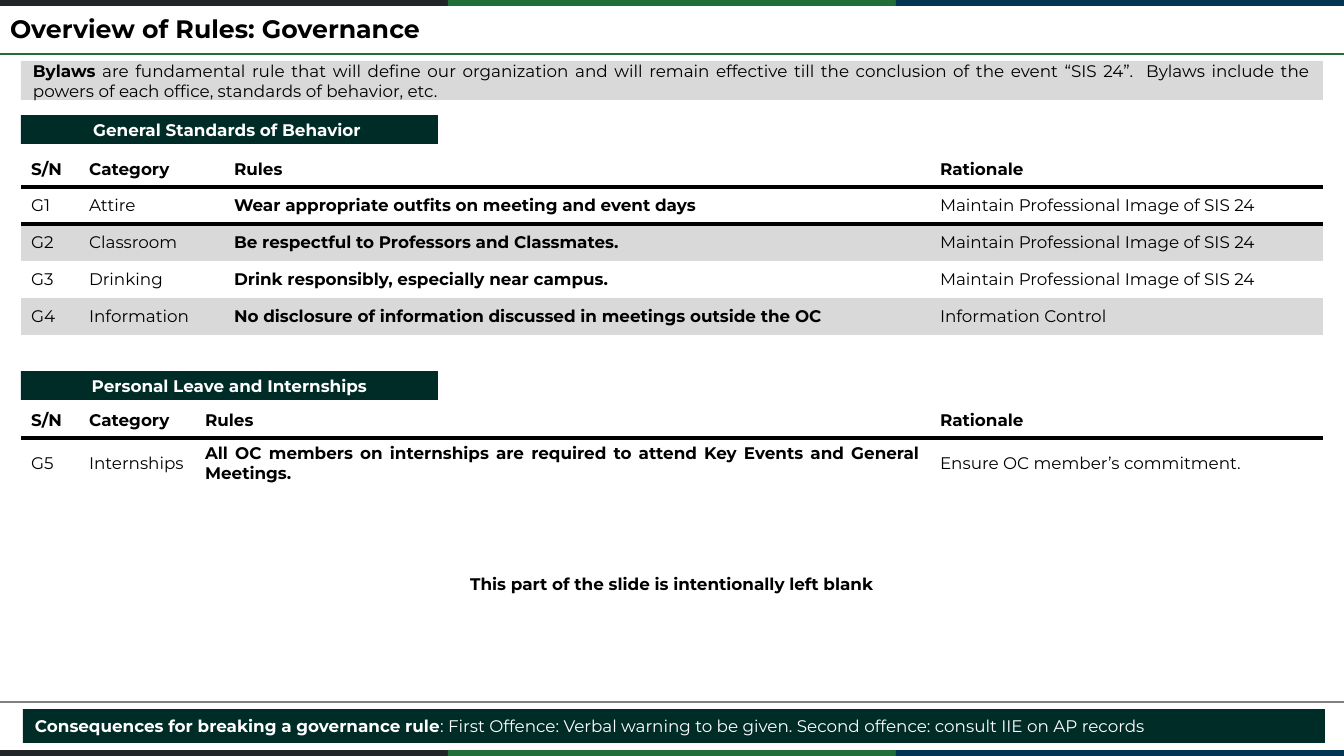
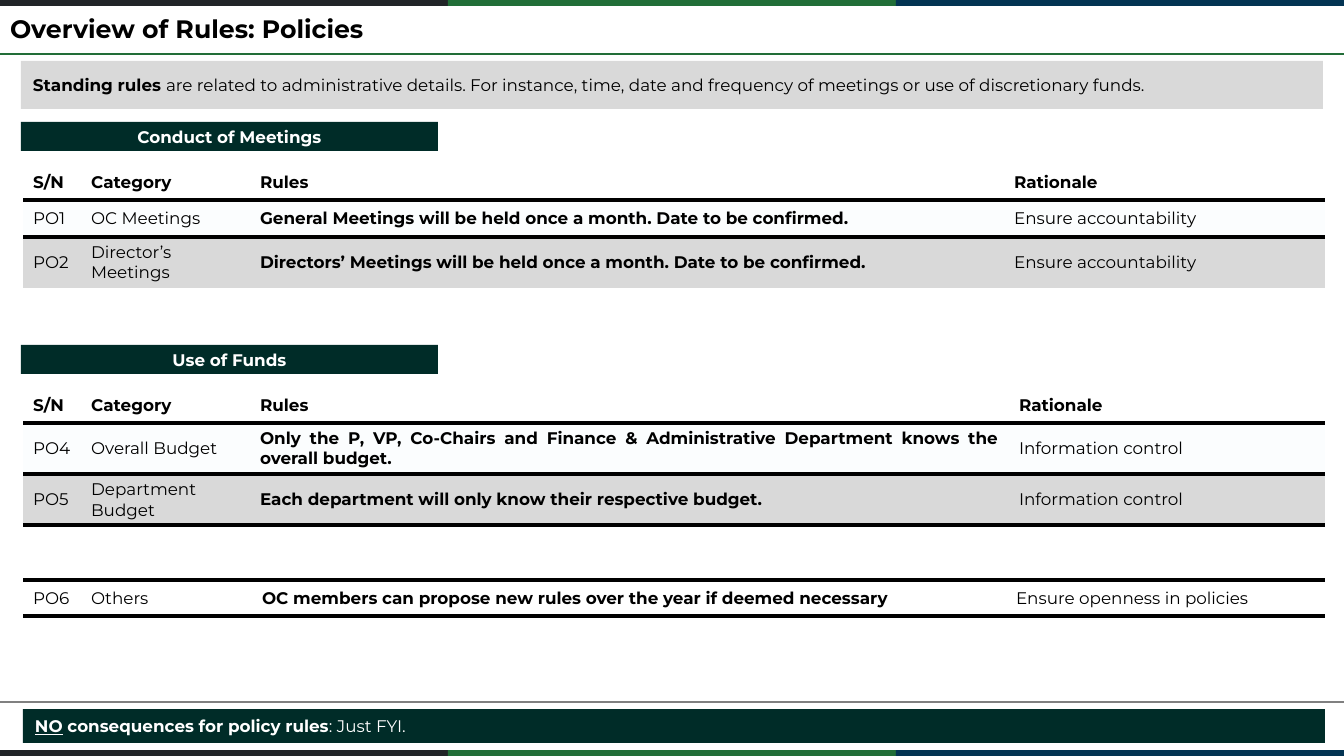
"""Build the two slides on governance and policy rules."""
from dataclasses import dataclass

from lxml import etree
from pptx import Presentation
from pptx.dml.color import RGBColor
from pptx.enum.shapes import MSO_CONNECTOR, MSO_SHAPE
from pptx.enum.text import MSO_ANCHOR, MSO_AUTO_SIZE, PP_ALIGN
from pptx.oxml.ns import qn
from pptx.util import Emu, Pt

RECTANGLE = MSO_SHAPE.RECTANGLE
STRAIGHT = MSO_CONNECTOR.STRAIGHT
MIDDLE = MSO_ANCHOR.MIDDLE
NO_AUTOFIT = MSO_AUTO_SIZE.NONE
LEFT, CENTER, JUSTIFY = PP_ALIGN.LEFT, PP_ALIGN.CENTER, PP_ALIGN.JUSTIFY

WIDTH, HEIGHT = 1344, 756
EMU_PER_PX = 12192000 / WIDTH
CONTENT_LEFT, CONTENT_WIDTH = 21, 1302
INDENTED_LEFT = 23
BAND_HEIGHT = 6
HEADING_WIDTH, HEADING_HEIGHT = 417, 29
TEXT_INSET = 12
HEADER_ROW = 36
TITLE_ONLY_LAYOUT = 5
FIRST_FRAME_ID = 100
RULE_COLUMN = 2
PLAIN_TABLE_STYLE = "{2D5ABB26-0587-4C30-8999-92F81FD0307C}"
HEADER = ("S/N", "Category", "Rules", "Rationale")


@dataclass(frozen=True)
class Theme:
    font: str = "Montserrat"
    title_size: int = 18
    text_size: int = 12
    rule_width: float = 1.5
    border_width: int = 3
    text: str = "000000"
    white: str = "FFFFFF"
    pale: str = "FBFDFE"
    grey: str = "D9D9D9"
    dark_green: str = "002C28"
    title_rule: str = "226D38"
    footer_rule: str = "808080"
    bands: tuple[str, ...] = ("212528", "216E38", "033453")


THEME = Theme()


@dataclass(frozen=True)
class Box:
    left: int
    top: int
    width: int
    height: int


@dataclass(frozen=True)
class Span:
    text: str
    bold: bool = False
    underline: bool = False


@dataclass(frozen=True)
class Heading:
    top: int
    text: str


@dataclass(frozen=True)
class RuleTable:
    left: int
    top: int
    columns: tuple[int, ...]
    heights: tuple[int, ...]
    rows: tuple[tuple[str, ...], ...]
    odd_fill: str = THEME.white
    has_header: bool = True
    closed: bool = False


@dataclass(frozen=True)
class RulesSlide:
    title: str
    intro_height: int
    intro: tuple[Span, ...]
    headings: tuple[Heading, ...]
    tables: tuple[RuleTable, ...]
    footer: tuple[Span, ...]
    note: str = ""


SLIDES = (
    RulesSlide(
        "Overview of Rules: Governance",
        39,
        (
            Span("Bylaws", bold=True),
            Span(" are fundamental rule that will define our organization and will remain effective till "
                 "the conclusion of the event “SIS 24”.  Bylaws include the powers of each office, "
                 "standards of behavior, etc. "),
        ),
        (Heading(115, "General Standards of Behavior "), Heading(371, "Personal Leave and Internships")),
        (
            RuleTable(CONTENT_LEFT, 151, (58, 145, 706, 393), (37, 37, 37, 37), (
                ("G1", "Attire", "Wear appropriate outfits on meeting and event days",
                 "Maintain Professional Image of SIS 24"),
                ("G2", "Classroom", "Be respectful to Professors and Classmates.",
                 "Maintain Professional Image of SIS 24"),
                ("G3", "Drinking", "Drink responsibly, especially near campus.",
                 "Maintain Professional Image of SIS 24"),
                ("G4", "Information", "No disclosure of information discussed in meetings outside the OC",
                 "Information Control"),
            )),
            RuleTable(CONTENT_LEFT, 402, (58, 116, 735, 393), (51,), (
                ("G5", "Internships",
                 "All OC members on internships are required to attend Key Events and General Meetings.",
                 "Ensure OC member’s commitment."),
            )),
        ),
        (
            Span("Consequences for breaking a governance rule", bold=True),
            Span(": First Offence: Verbal warning to be given. Second offence: consult IIE on AP records"),
        ),
        "This part of the slide is intentionally left blank",
    ),
    RulesSlide(
        "Overview of Rules: Policies",
        48,
        (
            Span("Standing rules ", bold=True),
            Span("are related to administrative details. For instance, time, date and frequency of meetings "
                 "or use of discretionary funds. "),
        ),
        (Heading(122, "Conduct of Meetings"), Heading(345, "Use of Funds")),
        (
            RuleTable(INDENTED_LEFT, 164, (58, 169, 754, 321), (37, 51), (
                ("PO1", "OC Meetings", "General Meetings will be held once a month. Date to be confirmed.",
                 "Ensure accountability"),
                ("PO2", "Director’s Meetings",
                 "Directors’ Meetings will be held once a month. Date to be confirmed.",
                 "Ensure accountability"),
            ), THEME.pale),
            RuleTable(INDENTED_LEFT, 387, (58, 169, 759, 316), (51, 51), (
                ("PO4", "Overall Budget",
                 "Only the P, VP, Co-Chairs and Finance & Administrative Department knows the overall budget.",
                 "Information control"),
                ("PO5", "Department Budget", "Each department will only know their respective budget.",
                 "Information control"),
            ), THEME.pale, closed=True),
            RuleTable(INDENTED_LEFT, 580, (58, 171, 754, 319), (36,), (
                ("PO6", "Others", "OC members can propose new rules over the year if deemed necessary",
                 "Ensure openness in policies"),
            ), has_header=False, closed=True),
        ),
        (
            Span("NO", bold=True, underline=True),
            Span(" consequences for policy rules", bold=True),
            Span(": Just FYI. "),
        ),
    ),
)


def px(length: int) -> Emu:
    """Turn a length in px into EMU."""
    return Emu(round(length * EMU_PER_PX))


def place(box: Box) -> tuple[Emu, Emu, Emu, Emu]:
    """Give the four lengths of a box in EMU."""
    return px(box.left), px(box.top), px(box.width), px(box.height)


def format_run(run, color: str, bold: bool, size: int = THEME.text_size) -> None:
    """Apply the theme font to a run."""
    run.font.name = THEME.font
    run.font.size = Pt(size)
    run.font.bold = bold
    run.font.color.rgb = RGBColor.from_string(color)


def write_spans(text_frame, spans: tuple[Span, ...], color: str, alignment) -> None:
    """Write spans as one vertically centred paragraph."""
    text_frame.word_wrap = True
    text_frame.vertical_anchor = MIDDLE
    text_frame.margin_left = text_frame.margin_right = px(TEXT_INSET)
    text_frame.margin_top = text_frame.margin_bottom = 0
    paragraph = text_frame.paragraphs[0]
    paragraph.alignment = alignment
    for span in spans:
        run = paragraph.add_run()
        run.text = span.text
        format_run(run, color, span.bold)
        if span.underline:
            run.font.underline = True


def add_bar(slide, box: Box, fill: str):
    """Add a filled rectangle without outline."""
    shape = slide.shapes.add_shape(RECTANGLE, *place(box))
    shape.shadow.inherit = False
    shape.fill.solid()
    shape.fill.fore_color.rgb = RGBColor.from_string(fill)
    shape.line.fill.background()
    return shape


def add_rule(slide, top: int, color: str):
    """Add a horizontal line across the slide."""
    connector = slide.shapes.add_connector(STRAIGHT, 0, px(top), px(WIDTH), px(top))
    connector.line.color.rgb = RGBColor.from_string(color)
    connector.line.width = Pt(THEME.rule_width)
    etree.SubElement(connector.element.spPr, qn("a:effectLst"))
    return connector


def move_frame_to_layout(slide, layout) -> None:
    """Draw the bands and rules and hand them to the shared layout."""
    band_width = WIDTH // len(THEME.bands)
    frame = [
        add_bar(slide, Box(index * band_width, top, band_width, BAND_HEIGHT), color)
        for top in (0, HEIGHT - BAND_HEIGHT)
        for index, color in enumerate(THEME.bands)
    ]
    frame += [add_rule(slide, 54, THEME.title_rule), add_rule(slide, 702, THEME.footer_rule)]
    for number, shape in enumerate(frame, FIRST_FRAME_ID):
        shape.element.xpath(".//p:cNvPr")[0].set("id", str(number))
        layout.shapes.element.append(shape.element)


def write_title(slide, text: str) -> None:
    """Fill and format the title placeholder."""
    title = slide.shapes.title
    title.left, title.top, title.width, title.height = place(Box(10, 13, 1322, 34))
    text_frame = title.text_frame
    text_frame.text = text
    text_frame.auto_size = NO_AUTOFIT
    text_frame.vertical_anchor = MIDDLE
    text_frame.margin_left = 0
    paragraph = text_frame.paragraphs[0]
    paragraph.alignment = LEFT
    paragraph.line_spacing = 0.9
    format_run(paragraph.runs[0], THEME.text, True, THEME.title_size)


def add_border(cell, side: str) -> None:
    """Draw a thick border on one side of a cell."""
    line = etree.Element(qn(f"a:{side}"), w=str(Pt(THEME.border_width)))
    fill = etree.SubElement(line, qn("a:solidFill"))
    etree.SubElement(fill, qn("a:srgbClr"), val=THEME.text)
    cell._tc.get_or_add_tcPr().insert(0, line)


def write_cell(cell, text: str, fill: str, bold: bool, alignment) -> None:
    """Fill and format one table cell."""
    cell.fill.solid()
    cell.fill.fore_color.rgb = RGBColor.from_string(fill)
    cell.vertical_anchor = MIDDLE
    cell.text_frame.text = text
    paragraph = cell.text_frame.paragraphs[0]
    paragraph.alignment = alignment
    format_run(paragraph.runs[0], THEME.text, bold)


def add_rule_table(slide, rules: RuleTable) -> None:
    """Add a table of rules with its borders and alternating rows."""
    header_count = int(rules.has_header)
    rows = (HEADER,) * header_count + rules.rows
    heights = (HEADER_ROW,) * header_count + rules.heights
    box = Box(rules.left, rules.top, sum(rules.columns), sum(heights))
    graphic_frame = slide.shapes.add_table(len(rows), len(HEADER), *place(box))
    graphic_frame.element.xpath(".//a:tableStyleId")[0].text = PLAIN_TABLE_STYLE
    table = graphic_frame.table
    table.horz_banding = False
    table.first_row = rules.has_header
    for column, width in zip(table.columns, rules.columns):
        column.width = px(width)
    for row_index, (texts, height) in enumerate(zip(rows, heights)):
        table.rows[row_index].height = px(height)
        body_index = row_index - header_count
        fill = THEME.white if body_index < 0 else (rules.odd_fill, THEME.grey)[body_index % 2]
        for column_index, text in enumerate(texts):
            cell = table.cell(row_index, column_index)
            is_rule = column_index == RULE_COLUMN
            write_cell(cell, text, fill, body_index < 0 or is_rule, JUSTIFY if is_rule else LEFT)
            if body_index < 0 or (rules.closed and row_index == len(rows) - 1):
                add_border(cell, "lnB")
            if body_index == 0:
                add_border(cell, "lnT")


def fill_slide(slide, content: RulesSlide) -> None:
    """Draw the content of one slide."""
    write_title(slide, content.title)
    intro = add_bar(slide, Box(CONTENT_LEFT, 61, CONTENT_WIDTH, content.intro_height), THEME.grey)
    write_spans(intro.text_frame, content.intro, THEME.text, JUSTIFY)
    for heading in content.headings:
        bar = add_bar(slide, Box(CONTENT_LEFT, heading.top, HEADING_WIDTH, HEADING_HEIGHT), THEME.dark_green)
        write_spans(bar.text_frame, (Span(heading.text, bold=True),), THEME.white, CENTER)
    for rules in content.tables:
        add_rule_table(slide, rules)
    if content.note:
        note = slide.shapes.add_textbox(*place(Box(435, 567, 474, 33)))
        write_spans(note.text_frame, (Span(content.note, bold=True),), THEME.text, CENTER)
    footer = add_bar(slide, Box(INDENTED_LEFT, 709, CONTENT_WIDTH, 34), THEME.dark_green)
    write_spans(footer.text_frame, content.footer, THEME.white, JUSTIFY)


def main() -> None:
    """Build and save the presentation."""
    presentation = Presentation()
    presentation.slide_width, presentation.slide_height = px(WIDTH), px(HEIGHT)
    layout = presentation.slide_layouts[TITLE_ONLY_LAYOUT]
    slides = [presentation.slides.add_slide(layout) for _ in SLIDES]
    move_frame_to_layout(slides[0], layout)
    for slide, content in zip(slides, SLIDES):
        fill_slide(slide, content)
    presentation.save("out.pptx")


if __name__ == "__main__":
    main()
